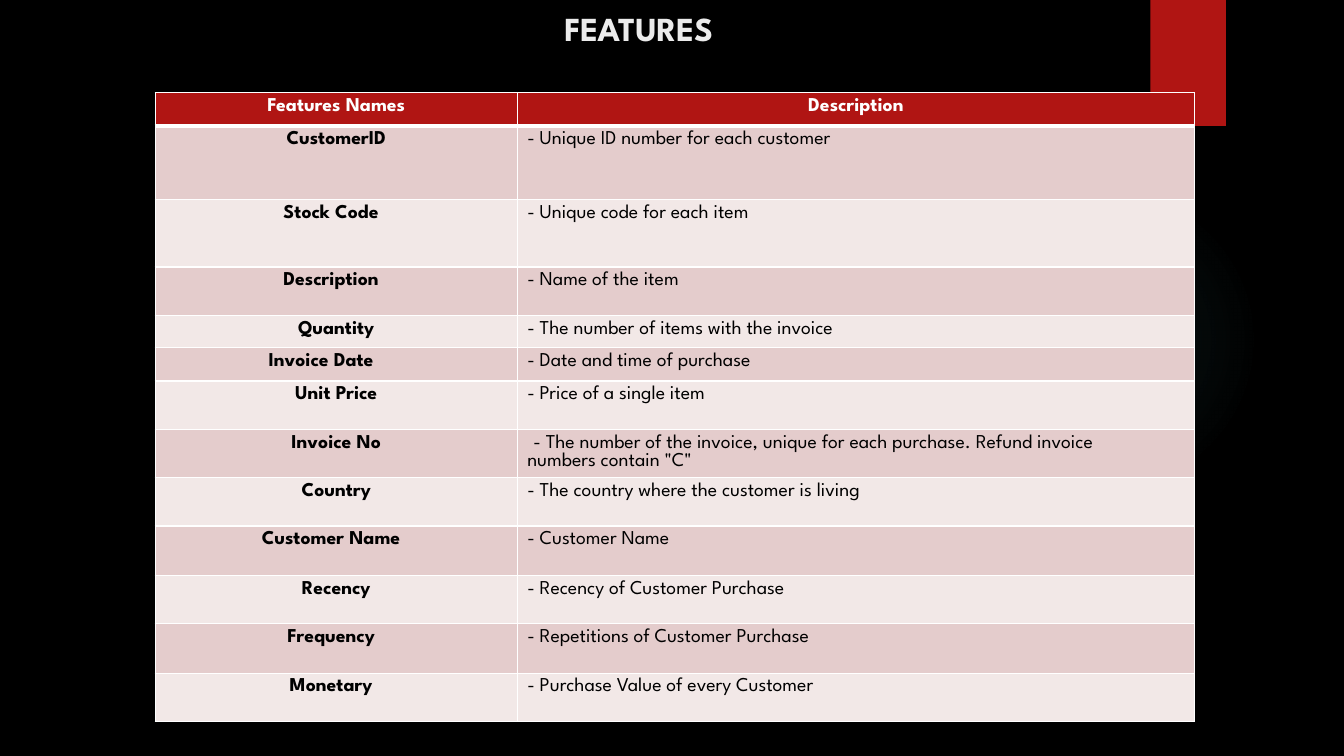
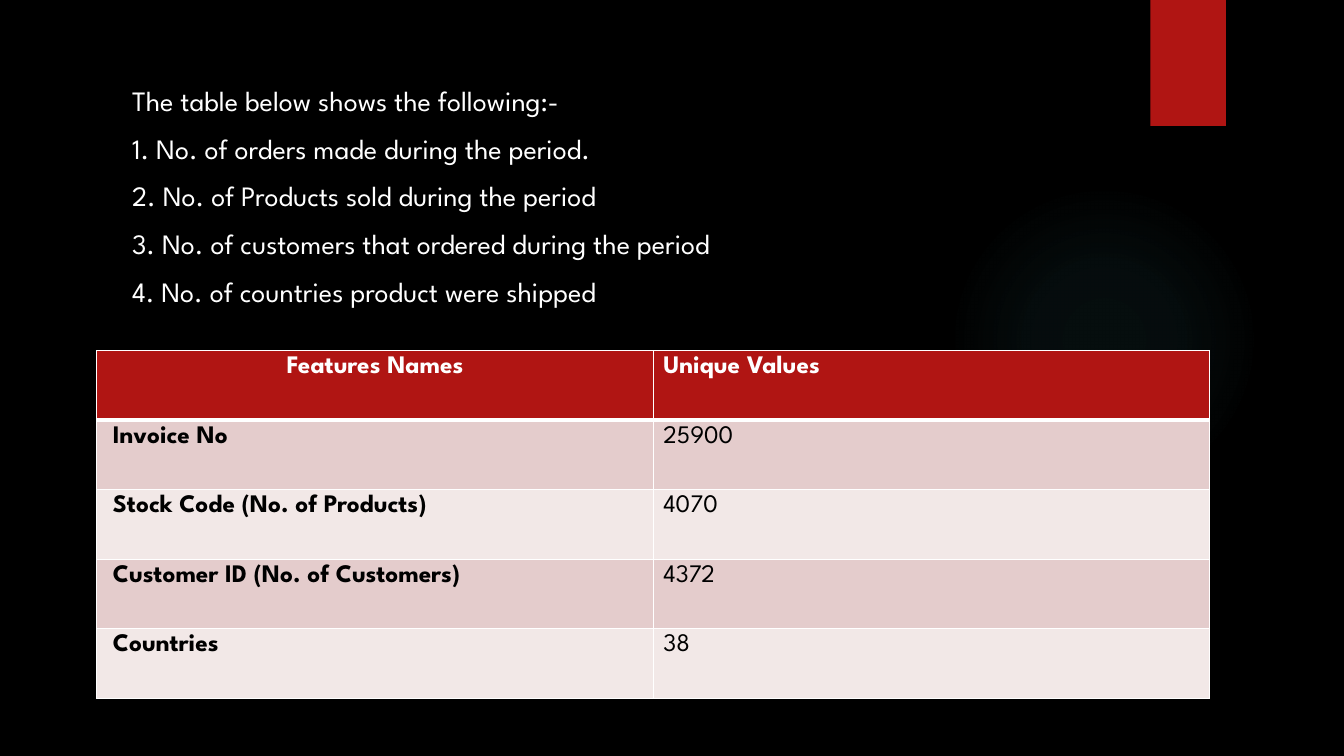
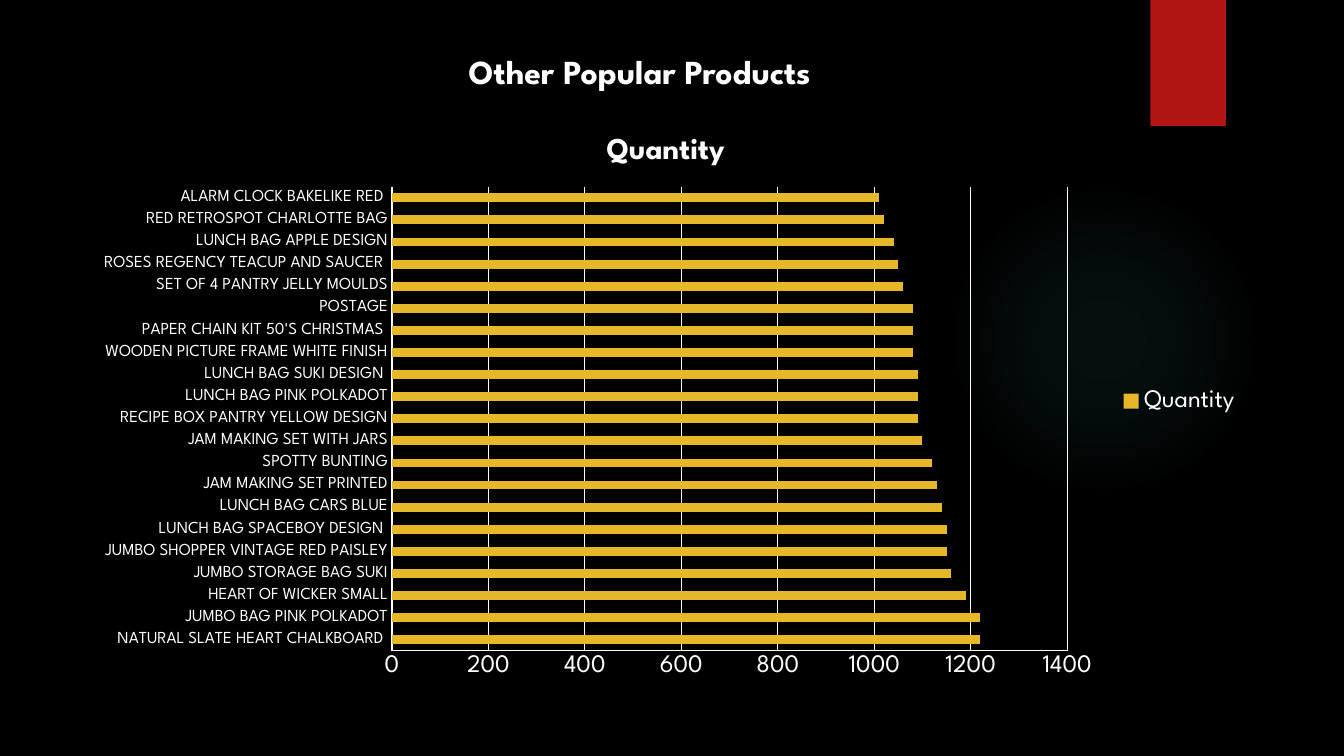
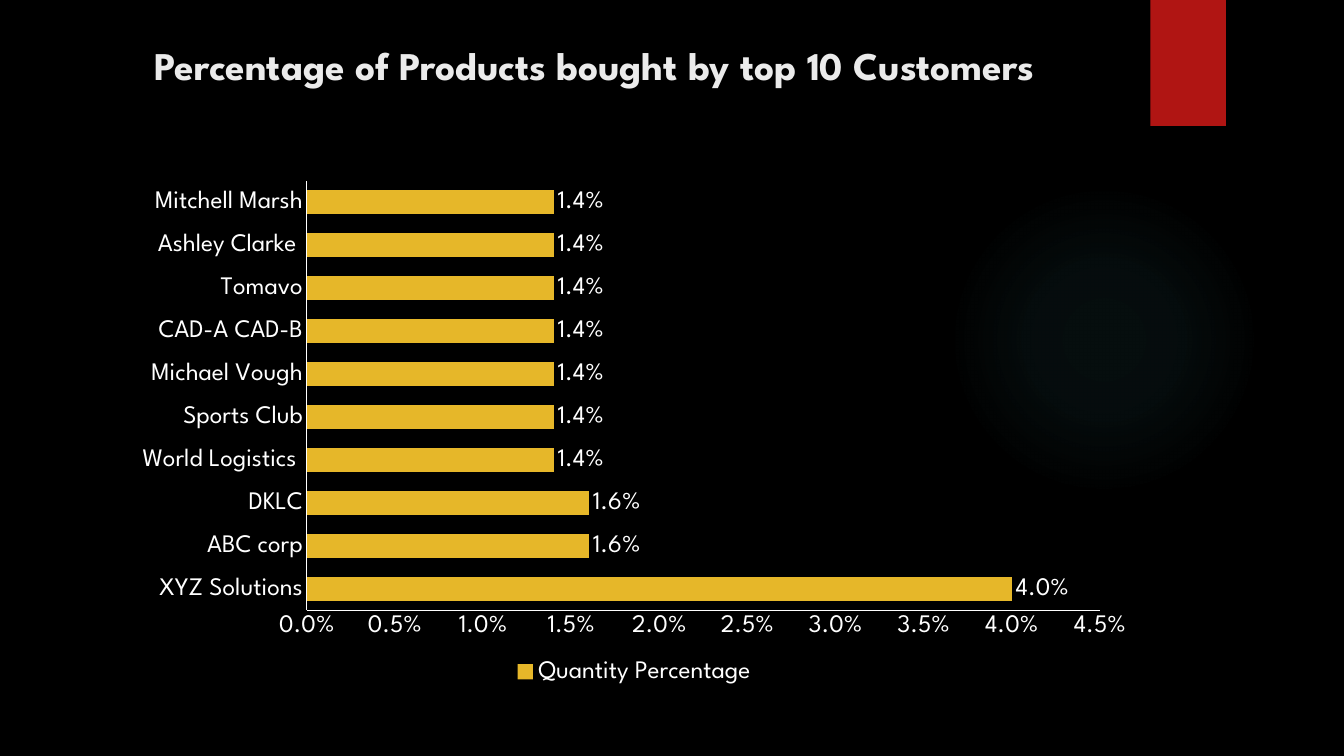
import pptx
import pptx.util
import pptx.oxml
import pptx.oxml.ns
import pptx.dml.color
import pptx.enum.text
import pptx.enum.shapes
import pptx.enum.chart
import pptx.chart.data

Inches = pptx.util.Inches
Pt = pptx.util.Pt
ALIGN = pptx.enum.text.PP_ALIGN
ANCHOR = pptx.enum.text.MSO_ANCHOR
SHAPE = pptx.enum.shapes.MSO_SHAPE
CHART = pptx.enum.chart

FACE = "League Spartan"
HUES = {
    "black": "000000",
    "white": "FFFFFF",
    "pale": "EBEBEB",
    "red": "B01513",
    "gold": "E6B729",
    "rose": "E4CCCC",
    "blush": "F2E8E7",
    "teal": "50B9C1",
}
GLOW = [(0, 7), (36, 6), (69, 0)]

FIELDS = [
    ("CustomerID", "- Unique ID number for each customer"),
    ("Stock Code ", "- Unique code for each item"),
    ("Description ", "- Name of the item"),
    ("Quantity", "- The number of items with the invoice"),
    ("Invoice Date", "- Date and time of purchase"),
    ("Unit Price", "- Price of a single item"),
    ("Invoice No", "- The number of the invoice, unique for each purchase. "
                   "Refund invoice numbers contain \"C\""),
    ("Country", "- The country where the customer is living"),
    ("Customer Name ", "- Customer Name"),
    ("Recency", "- Recency of Customer Purchase"),
    ("Frequency ", "- Repetitions of Customer Purchase"),
    ("Monetary ", "- Purchase Value of every Customer"),
]
HIGHS = [0.33, 0.73, 0.67, 0.48, 0.32, 0.33, 0.48, 0.48, 0.48, 0.49, 0.48, 0.49, 0.48]
COUNTS = [
    ("Invoice No", "25900"),
    ("Stock Code (No. of Products)", "4070"),
    ("Customer ID (No. of Customers)", "4372"),
    ("Countries", "38"),
]
POINTS = [
    "The table below shows the following:-",
    "1. No. of orders made during the period.",
    "2. No. of Products sold during the period",
    "3. No. of customers that ordered during the period",
    "4. No. of countries product were shipped",
]
GOODS = [
    ("NATURAL SLATE HEART CHALKBOARD ", 1220),
    ("JUMBO BAG PINK POLKADOT", 1220),
    ("HEART OF WICKER SMALL", 1190),
    ("JUMBO STORAGE BAG SUKI", 1160),
    ("JUMBO SHOPPER VINTAGE RED PAISLEY", 1150),
    ("LUNCH BAG SPACEBOY DESIGN ", 1150),
    ("LUNCH BAG CARS BLUE", 1140),
    ("JAM MAKING SET PRINTED", 1130),
    ("SPOTTY BUNTING", 1120),
    ("JAM MAKING SET WITH JARS", 1100),
    ("RECIPE BOX PANTRY YELLOW DESIGN", 1090),
    ("LUNCH BAG PINK POLKADOT", 1090),
    ("LUNCH BAG SUKI DESIGN ", 1090),
    ("WOODEN PICTURE FRAME WHITE FINISH", 1080),
    ("PAPER CHAIN KIT 50'S CHRISTMAS ", 1080),
    ("POSTAGE", 1080),
    ("SET OF 4 PANTRY JELLY MOULDS", 1060),
    ("ROSES REGENCY TEACUP AND SAUCER ", 1050),
    ("LUNCH BAG APPLE DESIGN", 1040),
    ("RED RETROSPOT CHARLOTTE BAG", 1020),
    ("ALARM CLOCK BAKELIKE RED ", 1010),
]
BUYERS = [
    ("XYZ Solutions", 0.04),
    ("ABC corp", 0.016),
    ("DKLC", 0.016),
    ("World Logistics ", 0.014),
    ("Sports Club", 0.014),
    ("Michael Vough", 0.014),
    ("CAD-A CAD-B", 0.014),
    ("Tomavo", 0.014),
    ("Ashley Clarke ", 0.014),
    ("Mitchell Marsh", 0.014),
]


def rgb(hue):
    return pptx.dml.color.RGBColor.from_string(HUES[hue])


def xml(text):
    head, tail = text.split(">", 1)
    slash = "/" if head.endswith("/") else ""
    decl = pptx.oxml.ns.nsdecls("a")
    return pptx.oxml.parse_xml(f"{head.rstrip('/')} {decl}{slash}>{tail}")


def apply(item, form):
    for key, value in form.items():
        setattr(item, key, value)


def style(font, size, hue="white", bold=False):
    apply(font, {"name": FACE, "size": Pt(size), "bold": bold})
    font.color.rgb = rgb(hue)


def place(shape, box):
    apply(shape, dict(zip(("left", "top", "width", "height"), map(Inches, box))))


def paint(item, hue):
    item.fill.solid()
    item.fill.fore_color.rgb = rgb(hue)


def indent(para, first=0):
    props = para._p.get_or_add_pPr()
    props.set("marL", "0")
    props.set("indent", str(Inches(first)))
    return props


def dress(deck, slide):
    master = deck.slide_master
    paint(master.background, "black")
    glow = slide.shapes.add_shape(SHAPE.OVAL, *map(Inches, (9.41, 1.83, 3.08, 3.08)))
    band = slide.shapes.add_shape(SHAPE.RECTANGLE, *map(Inches, (11.41, 0, 0.75, 1.25)))
    paint(band, "red")
    stops = "".join(
        f'<a:gs pos="{pos * 1000}"><a:srgbClr val="{HUES["teal"]}">'
        f'<a:alpha val="{alpha * 1000}"/></a:srgbClr></a:gs>' for pos, alpha in GLOW)
    glow.fill.background()
    blank = glow.element.spPr.find(pptx.oxml.ns.qn("a:noFill"))
    blank.getparent().replace(blank, xml(
        f'<a:gradFill><a:gsLst>{stops}</a:gsLst><a:path path="circle">'
        '<a:fillToRect l="50000" t="50000" r="50000" b="50000"/></a:path></a:gradFill>'))
    for spot, shape in enumerate((glow, band)):
        shape.shadow.inherit = False
        shape.line.fill.background()
        shape.element.nvSpPr.cNvPr.set("id", str(100 + spot))
        master.shapes.element.insert(2 + spot, shape.element)


def add_title(slide, text, box, size, hue="pale"):
    title = slide.shapes.title
    place(title, box)
    frame = title.text_frame
    apply(frame, {"text": text, "word_wrap": True, "vertical_anchor": ANCHOR.TOP})
    para = frame.paragraphs[0]
    para.alignment = ALIGN.CENTER
    style(para.runs[0].font, size, hue, True)


def add_list(slide, lines, box):
    body = slide.placeholders[1]
    place(body, box)
    frame = body.text_frame
    apply(frame, {"text": "\n".join(lines), "vertical_anchor": ANCHOR.TOP})
    for para in frame.paragraphs:
        para.space_before = Pt(10)
        indent(para).append(xml("<a:buNone/>"))
        style(para.runs[0].font, 20)


def edge(cell, low):
    props = cell._tc.get_or_add_tcPr()
    for side in "LRTB":
        width = Pt(low if side == "B" else 1)
        props.append(xml(
            f'<a:ln{side} w="{width}"><a:solidFill><a:srgbClr val="{HUES["white"]}"/>'
            f'</a:solidFill></a:ln{side}>'))


def add_grid(slide, rows, spot, cols, highs, size, center):
    shape = slide.shapes.add_table(
        len(rows), len(cols), *map(Inches, (*spot, sum(cols), sum(highs))))
    table = shape.table
    for col, width in zip(table.columns, cols):
        col.width = Inches(width)
    for r, (row, high) in enumerate(zip(rows, highs)):
        table.rows[r].height = Inches(high)
        for c, text in enumerate(row):
            cell = table.cell(r, c)
            cell.text = text
            edge(cell, 1 if r else 3)
            paint(cell, ("blush", "rose")[r % 2] if r else "red")
            para = cell.text_frame.paragraphs[0]
            para.alignment = ALIGN.CENTER if (r, c) in center else ALIGN.LEFT
            style(para.runs[0].font, size, "black" if r else "white", not r or not c)
    return table


def add_bars(slide, name, pairs, box, gap, spot, form="General"):
    data = pptx.chart.data.CategoryChartData(number_format=form)
    data.categories = [label for label, _ in pairs]
    data.add_series(name, [value for _, value in pairs])
    chart = slide.shapes.add_chart(
        CHART.XL_CHART_TYPE.BAR_CLUSTERED, *map(Inches, box), data).chart
    style(chart.font, 18)
    apply(chart, {"has_title": False, "has_legend": True})
    apply(chart.legend, {"position": spot, "include_in_layout": False})
    plot = chart.plots[0]
    apply(plot, {"gap_width": gap, "vary_by_categories": False})
    paint(plot.series[0].format, "gold")
    for axis in (chart.category_axis, chart.value_axis):
        apply(axis, {"major_tick_mark": CHART.XL_TICK_MARK.NONE,
                     "minor_tick_mark": CHART.XL_TICK_MARK.NONE,
                     "has_major_gridlines": False})
        axis.format.line.color.rgb = rgb("white")
    apply(chart.value_axis.tick_labels,
          {"number_format": form, "number_format_is_linked": False})
    return chart


def add_fields(slide):
    add_title(slide, "FEATURES", (1.19, 0.03, 10.29, 0.83), 24)
    rows = [("Features Names", "Description")] + FIELDS
    center = {(r, 0) for r in range(len(rows))} | {(0, 1)}
    table = add_grid(slide, rows, (1.54, 0.92), (3.59, 6.72), HIGHS, 14, center)
    for r, (name, _) in enumerate(rows):
        if name.endswith(" "):
            table.cell(r, 0).margin_right = Inches(0.15)
    table.cell(5, 0).margin_right = Inches(0.4)
    note = table.cell(7, 1)
    note.margin_right = Inches(0.6)
    indent(note.text_frame.paragraphs[0], 0.06)


def add_counts(slide):
    title = slide.shapes.title.element
    title.getparent().remove(title)
    add_list(slide, POINTS, (1.21, 0.78, 9.78, 2.6))
    rows = [("Features Names", "Unique Values")] + COUNTS
    table = add_grid(slide, rows, (0.96, 3.48), (5.52, 5.52), [0.69] * 5, 18, {(0, 0)})
    for r in range(1, len(rows)):
        table.cell(r, 0).margin_left = Inches(0.16)


def add_goods(slide):
    add_title(slide, "Other Popular Products", (2.96, 0.45, 6.77, 0.5), 24, "white")
    chart = add_bars(slide, "Quantity", GOODS, (0.8, 1.12, 11.61, 5.72), 150,
                     CHART.XL_LEGEND_POSITION.RIGHT)
    frame = chart.chart_title.text_frame
    frame.text = "Quantity"
    style(frame.paragraphs[0].runs[0].font, 21.6, bold=True)
    style(chart.category_axis.tick_labels.font, 12)
    axis = chart.value_axis
    axis.has_major_gridlines = True
    axis.major_gridlines.format.line.color.rgb = rgb("white")


def add_buyers(slide):
    add_title(slide, "Percentage of Products bought by top 10 Customers",
              (0.75, 0.36, 10.29, 1.08), 28)
    chart = add_bars(slide, "Quantity Percentage", BUYERS, (1.21, 1.69, 10.16, 5.14), 75,
                     CHART.XL_LEGEND_POSITION.BOTTOM, "0.0%")
    labels = chart.plots[0].series[0].data_labels
    apply(labels, {"show_value": True, "number_format": "0.0%",
                   "number_format_is_linked": False,
                   "position": CHART.XL_LABEL_POSITION.OUTSIDE_END})
    style(labels.font, 18)


def main():
    deck = pptx.Presentation()
    apply(deck, {"slide_width": Inches(13.33), "slide_height": Inches(7.5)})
    for index, (layout, build) in enumerate(
            ((5, add_fields), (1, add_counts), (5, add_goods), (5, add_buyers))):
        slide = deck.slides.add_slide(deck.slide_layouts[layout])
        if not index:
            dress(deck, slide)
        build(slide)
    deck.save("out.pptx")


if __name__ == "__main__":
    main()
